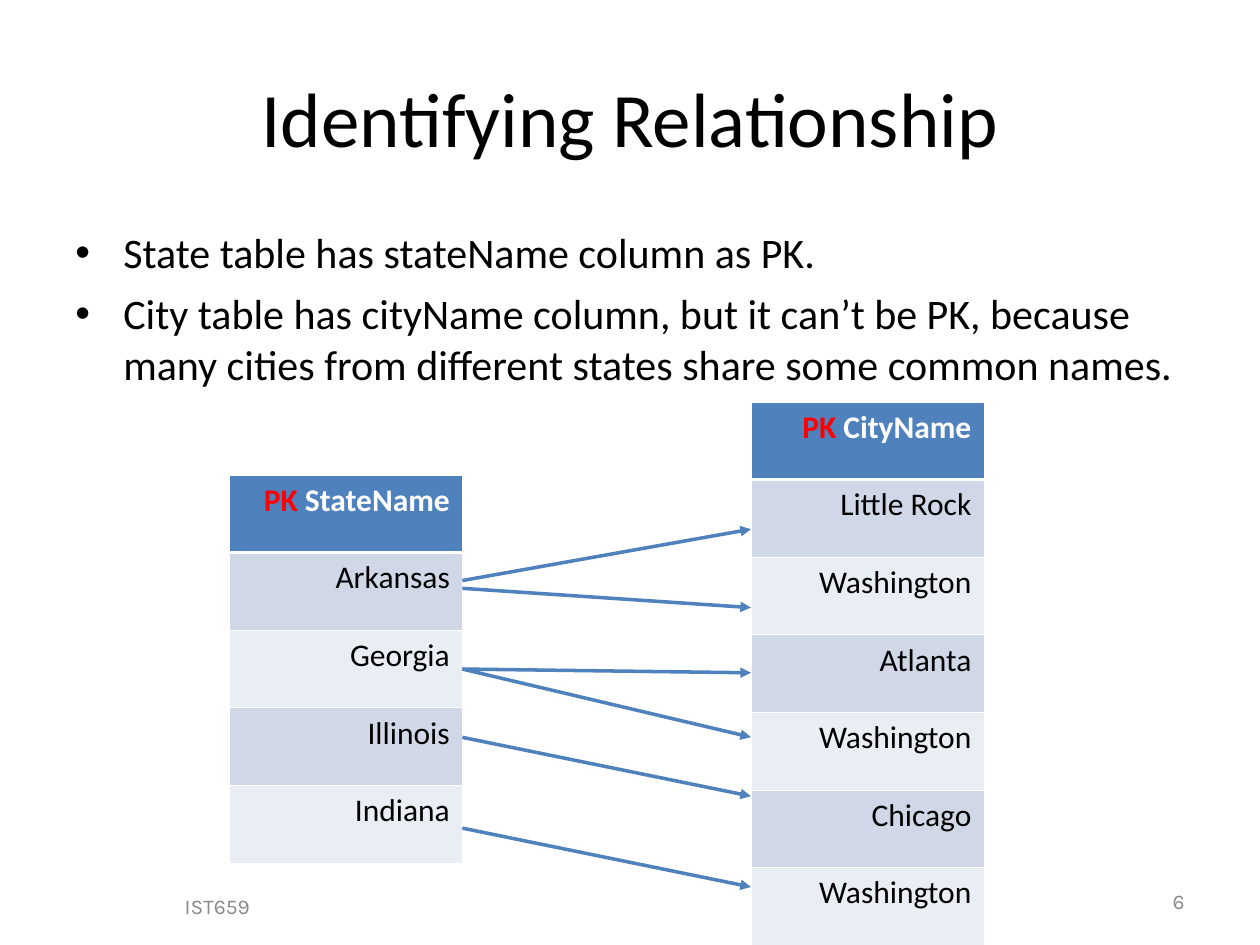
import pptx
import pptx.util
import pptx.dml.color
import pptx.enum.shapes
import pptx.enum.text
import pptx.oxml
import pptx.oxml.ns
import lxml.etree

Inches, Pt = pptx.util.Inches, pptx.util.Pt
RGBColor = pptx.dml.color.RGBColor
ALIGN = pptx.enum.text.PP_ALIGN
ANCHOR = pptx.enum.text.MSO_ANCHOR
qn = pptx.oxml.ns.qn

BLACK = RGBColor(0x00, 0x00, 0x00)
WHITE = RGBColor(0xFF, 0xFF, 0xFF)
RED = RGBColor(0xFF, 0x00, 0x00)
GREY = RGBColor(0x89, 0x89, 0x89)
BLUE = RGBColor(0x4F, 0x81, 0xBD)
BANDS = (RGBColor(0xD0, 0xD8, 0xE8), RGBColor(0xE9, 0xED, 0xF4))

# Tables share one row height and one column width
ROW, COLUMN = 0.616, 1.85
STATE_BOX = (1.82, 3.77)
CITY_BOX = (5.96, 3.19)
STATES = ["Arkansas", "Georgia", "Illinois", "Indiana"]
CITIES = ["Little Rock", "Washington", "Atlanta", "Washington", "Chicago", "Washington"]
# Arrow ends, in rows below the top of the state and city tables
LINKS = [(1.36, 1.64), (1.46, 2.65), (2.5, 3.49), (3.38, 5.08), (2.5, 4.32), (4.55, 6.25)]


def add_span(para, text, size, color, name="Calibri", bold=False):
    span = para.add_run()
    span.text = text
    for key, value in {"size": Pt(size), "name": name, "bold": bold}.items():
        setattr(span.font, key, value)
    span.font.color.rgb = color


def add_text_box(page, box, anchor):
    frame = page.shapes.add_textbox(*map(Inches, box)).text_frame
    frame.word_wrap = True
    frame.vertical_anchor = anchor
    return frame


def add_title(page, box, text):
    title = page.shapes.title
    for key, value in zip(("left", "top", "width", "height"), box):
        setattr(title, key, Inches(value))
    title.text_frame.vertical_anchor = ANCHOR.MIDDLE
    para = title.text_frame.paragraphs[0]
    para.alignment = ALIGN.CENTER
    add_span(para, text, 44, BLACK)


def add_bullets(page, box, lines):
    frame = add_text_box(page, box, ANCHOR.TOP)
    for index, line in enumerate(lines):
        para = frame.add_paragraph() if index else frame.paragraphs[0]
        para.space_before = Pt(6)
        add_span(para, line, 24, BLACK)
        settings = para._p.get_or_add_pPr()
        settings.set("marL", str(Inches(0.38)))
        settings.set("indent", str(-Inches(0.38)))
        font = lxml.etree.SubElement(settings, qn("a:buFont"))
        font.set("typeface", "Arial")
        bullet = lxml.etree.SubElement(settings, qn("a:buChar"))
        bullet.set("char", "•")


def add_footer(page, box, text, alignment):
    para = add_text_box(page, box, ANCHOR.MIDDLE).paragraphs[0]
    para.alignment = alignment
    add_span(para, text, 12, GREY, name="Karla")


def set_borders(cell, widths):
    settings = cell._tc.get_or_add_tcPr()
    for side, width in widths.items():
        line = lxml.etree.SubElement(settings, qn(f"a:ln{side}"), w=str(Pt(width)))
        fill = lxml.etree.SubElement(line, qn("a:solidFill"))
        lxml.etree.SubElement(fill, qn("a:srgbClr"), val=str(WHITE))


def add_key_table(page, corner, heading, names):
    count = len(names) + 1
    size = (COLUMN, ROW * count)
    table = page.shapes.add_table(count, 1, *map(Inches, corner + size)).table
    for index, name in enumerate([heading] + names):
        table.rows[index].height = Inches(ROW)
        cell = table.cell(index, 0)
        set_borders(cell, {"L": 0.45, "R": 0.45,
                           "T": 1.47 if index == 1 else 0.45,
                           "B": 1.47 if index == 0 else 0.45})
        cell.fill.solid()
        cell.fill.fore_color.rgb = BANDS[(index - 1) % 2] if index else BLUE
        para = cell.text_frame.paragraphs[0]
        para.alignment = ALIGN.RIGHT
        if index == 0:
            add_span(para, "PK", 18, RED, bold=True)
            add_span(para, " " + name, 18, WHITE, bold=True)
        else:
            add_span(para, name, 18, BLACK)


def add_links(page, start_corner, end_corner, links):
    for start_row, end_row in links:
        ends = (start_corner[0] + COLUMN, start_corner[1] + start_row * ROW,
                end_corner[0], end_corner[1] + end_row * ROW)
        arrow = page.shapes.add_connector(
            pptx.enum.shapes.MSO_CONNECTOR.STRAIGHT, *map(Inches, ends))
        arrow.line.color.rgb = BLUE
        arrow.line.width = Pt(2)
        lxml.etree.SubElement(arrow.line._get_or_add_ln(), qn("a:tailEnd"), type="triangle")
        lxml.etree.SubElement(arrow._element.spPr, qn("a:effectLst"))


def main():
    deck = pptx.Presentation()
    deck.slide_width, deck.slide_height = Inches(10), Inches(7.5)
    page = deck.slides.add_slide(deck.slide_layouts.get_by_name("Title Only"))

    # Heading and explanation
    add_title(page, (0.5, 0.3, 9, 1.25), "Identifying Relationship")
    add_bullets(page, (0.5, 1.75, 9.15, 1.75), [
        "State table has stateName column as PK.",
        "City table has cityName column, but it can’t be PK, because many cities "
        "from different states share some common names.",
    ])

    # Course code and page number
    add_footer(page, (0.16, 6.99, 3.17, 0.4), "IST659 ", ALIGN.CENTER)
    add_footer(page, (7.17, 6.95, 2.33, 0.4), "6", ALIGN.RIGHT)

    # States linked to their cities
    add_key_table(page, STATE_BOX, "StateName", STATES)
    add_key_table(page, CITY_BOX, "CityName", CITIES)
    add_links(page, STATE_BOX, CITY_BOX, LINKS)

    deck.save("out.pptx")


if __name__ == "__main__":
    main()
